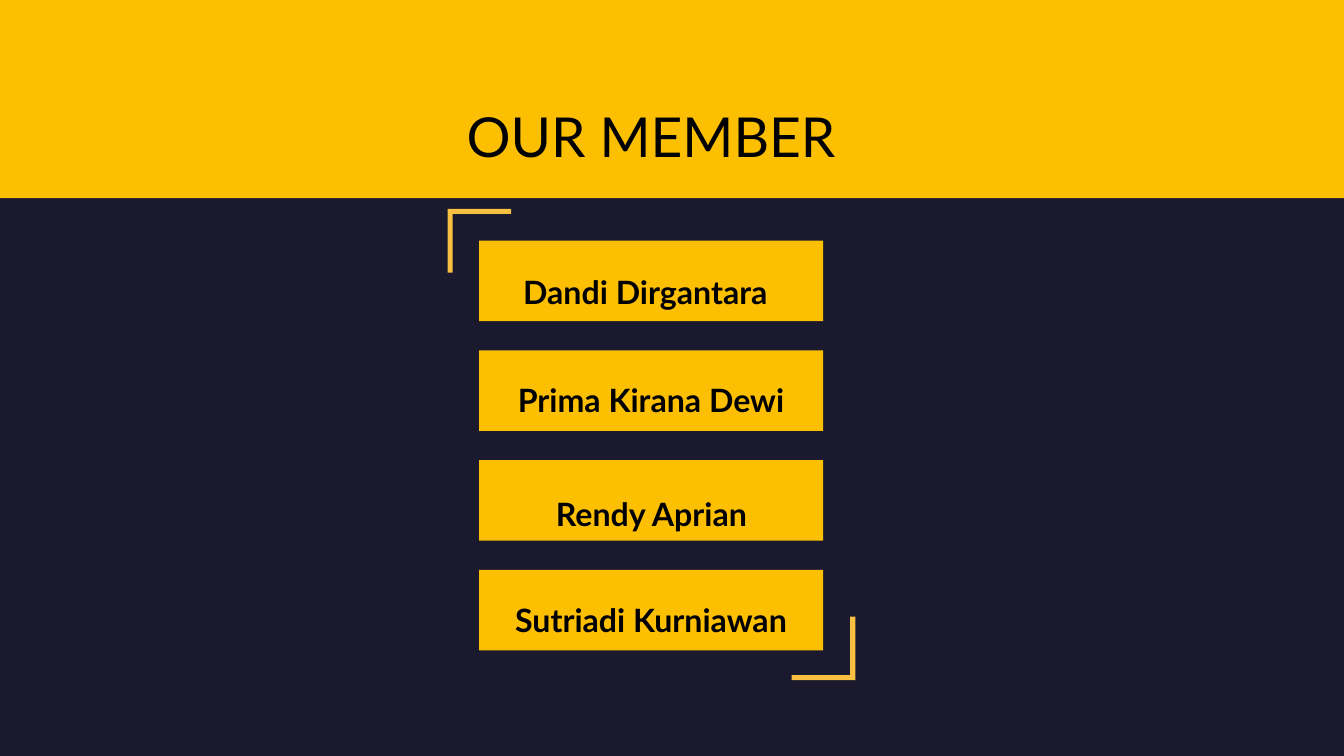
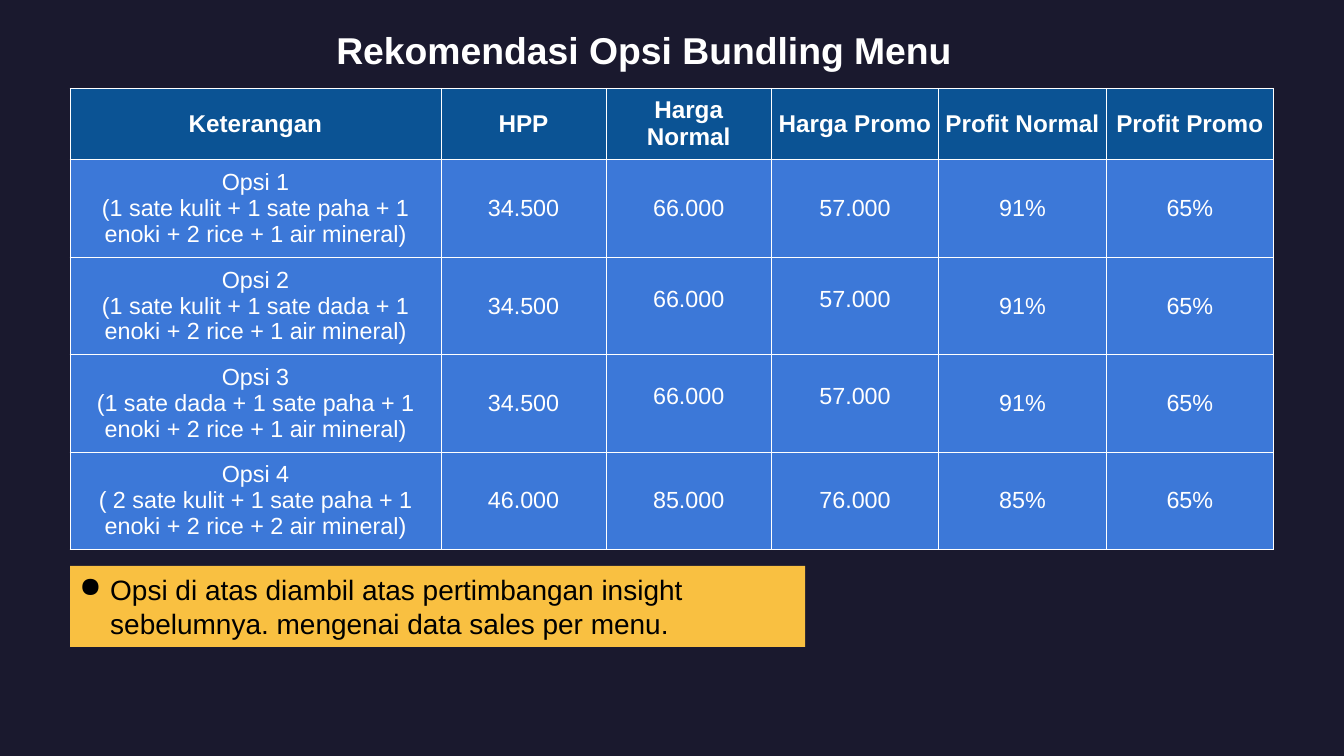
from lxml import etree
from pptx import Presentation
from pptx.dml.color import RGBColor
from pptx.enum.shapes import MSO_SHAPE
from pptx.enum.text import MSO_ANCHOR, MSO_AUTO_SIZE, PP_ALIGN
from pptx.oxml.ns import qn
from pptx.util import Pt

NAVY = RGBColor(0x1A, 0x19, 0x2E)
YELLOW = RGBColor(0xFC, 0xBF, 0x01)
AMBER = RGBColor(0xF9, 0xC0, 0x41)
DARK_BLUE = RGBColor(0x0B, 0x53, 0x94)
BLUE = RGBColor(0x3C, 0x78, 0xD8)
WHITE = RGBColor(0xFF, 0xFF, 0xFF)
BLACK = RGBColor(0x00, 0x00, 0x00)

SLIDE_W, SLIDE_H = 1440, 810
INSET = 7.2


class Deck:
    """Holds the shared style and the slide being built; lengths in points."""

    def __init__(self):
        self.prs = Presentation()
        self.prs.slide_width, self.prs.slide_height = Pt(SLIDE_W), Pt(SLIDE_H)
        self.slide = None

    def new_slide(self):
        self.slide = self.prs.slides.add_slide(self.prs.slide_layouts[6])
        fill = self.slide.background.fill
        fill.solid()
        fill.fore_color.rgb = NAVY

    def paint(self, shape, color):
        shape.shadow.inherit = False
        shape.fill.solid()
        shape.fill.fore_color.rgb = color
        shape.line.fill.background()

    def block(self, left, top, width, height, color):
        shape = self.slide.shapes.add_shape(
            MSO_SHAPE.RECTANGLE, Pt(left), Pt(top), Pt(width), Pt(height))
        self.paint(shape, color)
        return shape

    def corner(self, x, y, direction, arm=68.2, thick=5.4):
        """L-shaped bracket; direction 1 opens right and down, -1 left and up."""
        outline = [(0, 0), (arm, 0), (arm, thick), (thick, thick), (thick, arm), (0, arm)]
        points = [(Pt(x + direction * dx), Pt(y + direction * dy)) for dx, dy in outline]
        builder = self.slide.shapes.build_freeform(*points[0], scale=1.0)
        builder.add_line_segments(points[1:], close=True)
        self.paint(builder.convert_to_shape(), AMBER)

    def style(self, paragraph, size, color, font, bold=False, align=PP_ALIGN.CENTER):
        paragraph.alignment = align
        paragraph.font.name = font
        paragraph.font.size = Pt(size)
        paragraph.font.bold = bold
        paragraph.font.color.rgb = color

    def fit(self, frame, inset):
        frame.word_wrap = True
        frame.auto_size = MSO_AUTO_SIZE.SHAPE_TO_FIT_TEXT
        frame.vertical_anchor = MSO_ANCHOR.TOP
        frame.margin_left = frame.margin_right = Pt(inset)
        frame.margin_top = frame.margin_bottom = Pt(inset)

    def text(self, words, left, top, width, height, size, color, font,
             bold=False, spacing=1.0, inset=0):
        frame = self.slide.shapes.add_textbox(
            Pt(left), Pt(top), Pt(width), Pt(height)).text_frame
        self.fit(frame, inset)
        line = frame.paragraphs[0]
        line.text = words
        line.line_spacing = spacing
        self.style(line, size, color, font, bold)

    def bullet_note(self, words, left, top, width, height):
        frame = self.block(left, top, width, height, AMBER).text_frame
        self.fit(frame, INSET)
        line = frame.paragraphs[0]
        line.text = words
        props = line._p.get_or_add_pPr()
        props.set("marL", str(Pt(36)))
        props.set("indent", str(Pt(-33)))
        bullet_color = etree.SubElement(props, qn("a:buClr"))
        etree.SubElement(bullet_color, qn("a:srgbClr"), val=str(BLACK))
        etree.SubElement(props, qn("a:buChar"), char="●")
        self.style(line, 30, BLACK, "Arial", align=PP_ALIGN.LEFT)

    def cell(self, cell, words, fill, size, bold, lift):
        cell.text = words
        cell.vertical_anchor = MSO_ANCHOR.MIDDLE
        cell.margin_left = cell.margin_right = cell.margin_top = Pt(INSET)
        cell.margin_bottom = Pt(INSET + lift)
        for paragraph in cell.text_frame.paragraphs:
            self.style(paragraph, size, WHITE, "Arial", bold)
        props = cell._tc.get_or_add_tcPr()
        for side in ("a:lnL", "a:lnR", "a:lnT", "a:lnB"):
            border = etree.SubElement(props, qn(side), w=str(Pt(0.75)))
            solid = etree.SubElement(border, qn("a:solidFill"))
            etree.SubElement(solid, qn("a:srgbClr"), val=str(WHITE))
        cell.fill.solid()
        cell.fill.fore_color.rgb = fill

    def table(self, rows, left, top, widths, row_height, lifted):
        """First row is the header; lifted maps (row, column) to extra bottom margin."""
        table = self.slide.shapes.add_table(
            len(rows), len(widths), Pt(left), Pt(top),
            Pt(sum(widths)), Pt(row_height * len(rows))).table
        table.first_row = table.horz_banding = False
        for column, width in zip(table.columns, widths):
            column.width = Pt(width)
        for r, row in enumerate(rows):
            fill, size, bold = (BLUE, 25, False) if r else (DARK_BLUE, 26, True)
            for c, words in enumerate(row):
                self.cell(table.cell(r, c), words, fill, size, bold, lifted.get((r, c), 0))


def members(deck):
    deck.new_slide()
    # Title band
    deck.block(0, 0, SLIDE_W, 212.4, YELLOW)
    deck.text("OUR MEMBER", 342, 108, 711.4, 63.4, 59, BLACK, "Lato", spacing=1.02)
    # Name cards: name, text left, text top, text width
    names = [
        ("Dandi Dirgantara", 523.4, 275, 336.2),
        ("Prima Kirana Dewi", 534.2, 391, 326.9),
        ("Rendy Aprian", 558, 513.4, 280),
        ("Sutriadi Kurniawan", 523.4, 626.4, 348.5),
    ]
    for i, (name, left, top, width) in enumerate(names):
        deck.block(513.4, 257.8 + i * 117.6, 368.6, 86.4, YELLOW)
        deck.text(name, left, top, width, 46, 34.4, BLACK, "Lato", bold=True, spacing=1.4)
    # Corner brackets
    deck.corner(479.6, 223.8, 1)
    deck.corner(916.4, 728.8, -1)


def bundles(deck):
    deck.new_slide()
    # Price table
    rows = [
        ("Keterangan", "HPP", "Harga Normal", "Harga Promo", "Profit Normal", "Profit Promo"),
        ("Opsi 1\n(1 sate kulit + 1 sate paha + 1 enoki + 2 rice + 1 air mineral)",
         "34.500", "66.000", "57.000", "91%", "65%"),
        ("Opsi 2\n(1 sate kulit + 1 sate dada + 1 enoki + 2 rice + 1 air mineral)",
         "34.500", "66.000", "57.000", "91%", "65%"),
        ("Opsi 3\n(1 sate dada + 1 sate paha + 1 enoki + 2 rice + 1 air mineral)",
         "34.500", "66.000", "57.000", "91%", "65%"),
        ("Opsi 4\n( 2 sate kulit + 1 sate paha + 1 enoki + 2 rice + 2 air mineral)",
         "46.000", "85.000", "76.000", "85%", "65%"),
    ]
    raised_prices = {(r, c): 15 for r in (2, 3) for c in (2, 3)}
    deck.table(rows, 75, 94.4, [397.4, 177, 177, 179.4, 179.4, 179.4], 58.3, raised_prices)
    # Note and title
    deck.bullet_note(
        "Opsi di atas diambil atas pertimbangan insight sebelumnya. "
        "mengenai data sales per menu.", 75, 606.2, 787.6, 87)
    deck.text("Rekomendasi Opsi Bundling Menu", 275.3, 21.6, 829.4, 63.4, 40, WHITE, "Arial",
              bold=True, inset=INSET)


def main():
    deck = Deck()
    members(deck)
    bundles(deck)
    deck.prs.save("out.pptx")


if __name__ == "__main__":
    main()
